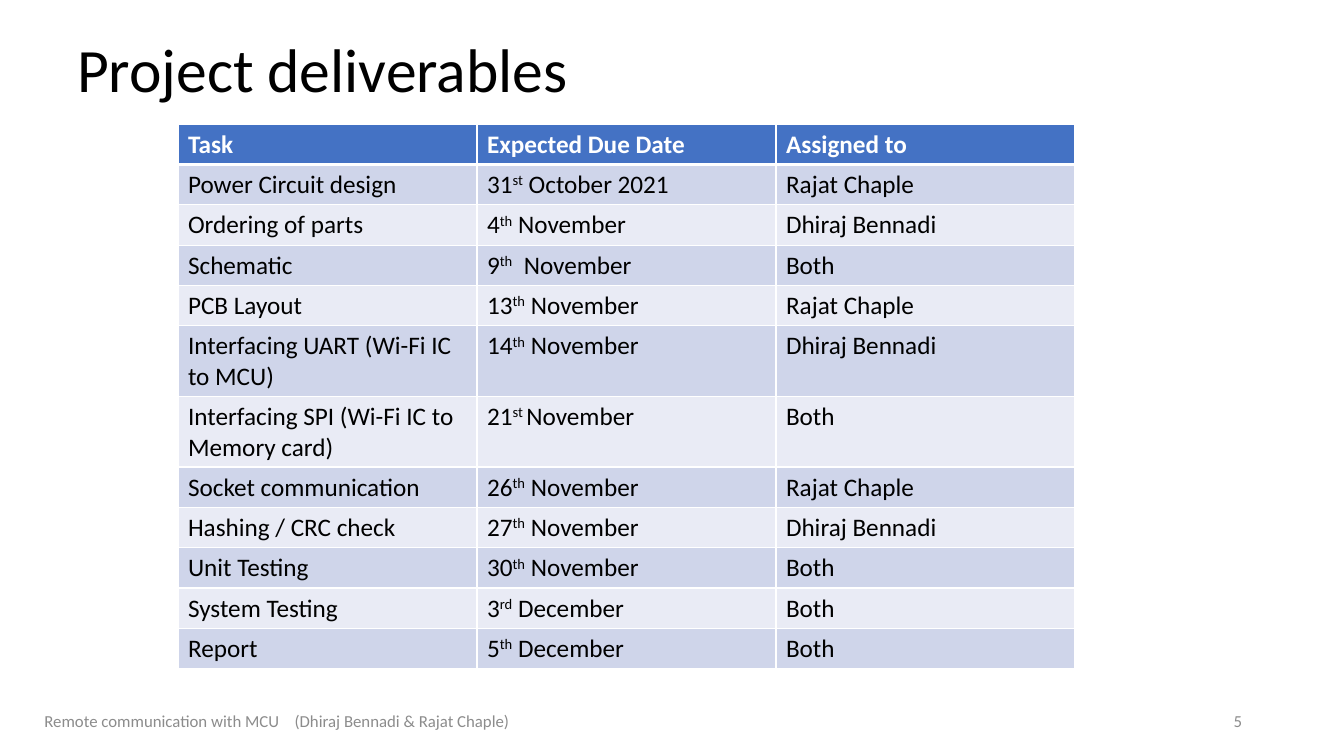
from lxml.etree import SubElement
from pptx import Presentation
from pptx.dml.color import RGBColor
from pptx.enum.text import MSO_ANCHOR, PP_ALIGN
from pptx.oxml.ns import qn
from pptx.util import Emu, Pt

HEADER = ("Task", "Expected Due Date", "Assigned to")
TASKS = [
    ("Power Circuit design", ("31", "st", " October 2021"), "Rajat Chaple"),
    ("Ordering of parts", ("4", "th", " November"), "Dhiraj Bennadi"),
    ("Schematic", ("9", "th", "  November"), "Both"),
    ("PCB Layout", ("13", "th", " November"), "Rajat Chaple"),
    ("Interfacing UART (Wi-Fi IC to MCU)", ("14", "th", " November"), "Dhiraj Bennadi"),
    ("Interfacing SPI (Wi-Fi IC to Memory card)", ("21", "st ", "November"), "Both"),
    ("Socket communication", ("26", "th", " November"), "Rajat Chaple"),
    ("Hashing / CRC check", ("27", "th", " November"), "Dhiraj Bennadi"),
    ("Unit Testing", ("30", "th", " November"), "Both"),
    ("System Testing", ("3", "rd", " December"), "Both"),
    ("Report", ("5", "th", " December"), "Both"),
]


def px(n):
    return Emu(round(n * 914400 / 100.8))


def rgb(value):
    return RGBColor.from_string(value)


class Deck:
    """Holds the slide style and draws each kind of element on the slide."""

    font = "Calibri"
    black, white, grey = "000000", "FFFFFF", "8C8C8C"
    head, bands = "4472C4", ("CFD5EA", "E9EBF5")

    def __init__(self, prs):
        self.s = prs.slides.add_slide(prs.slide_layouts[5])
        self.s.background.fill.solid()
        self.s.background.fill.fore_color.rgb = rgb(self.white)

    def run(self, p, text, size, color, bold=False, **attrs):
        r = p.add_run()
        r.text = text
        r.font.name, r.font.size, r.font.bold = self.font, Pt(size), bold
        r.font.color.rgb = rgb(color)
        for name, value in attrs.items():
            r._r.get_or_add_rPr().set(name, value)

    def title(self, text, x, y, w, h):
        sp = self.s.shapes.title
        sp.left, sp.top, sp.width, sp.height = map(px, (x, y, w, h))
        tf = sp.text_frame
        tf.vertical_anchor = MSO_ANCHOR.MIDDLE
        p = tf.paragraphs[0]
        p.alignment, p.line_spacing = PP_ALIGN.LEFT, 0.9
        self.run(p, text, 44, self.black)

    def footer(self, parts, x, y, w, h, align):
        tf = self.s.shapes.add_textbox(*map(px, (x, y, w, h))).text_frame
        tf.word_wrap, tf.vertical_anchor = True, MSO_ANCHOR.MIDDLE
        p = tf.paragraphs[0]
        p.alignment = align
        for i, part in enumerate(parts):
            if i:
                self.run(p, " ", 12, self.grey, spc="800")
            self.run(p, part, 12, self.grey)

    def border(self, cell, **widths):
        tc_pr = cell._tc.get_or_add_tcPr()
        for side in "LRTB":
            ln = SubElement(tc_pr, qn(f"a:ln{side}"), w=str(Pt(widths.get(side, 1))))
            SubElement(SubElement(ln, qn("a:solidFill")), qn("a:srgbClr"), val=self.white)

    def cell(self, cell, parts, row):
        is_head = row == 0
        self.border(cell, **({"B": 3} if is_head else {"T": 3} if row == 1 else {}))
        cell.fill.solid()
        cell.fill.fore_color.rgb = rgb(self.head if is_head else self.bands[(row - 1) % 2])
        p = cell.text_frame.paragraphs[0]
        for i, part in enumerate(parts):
            raised = {"baseline": "30000"} if i == 1 else {}
            self.run(p, part, 18, self.white if is_head else self.black, is_head, **raised)

    def table(self, rows, x, y, col_w, row_h):
        cols = len(rows[0])
        size = (x, y, col_w * cols, row_h * len(rows))
        table = self.s.shapes.add_table(len(rows), cols, *map(px, size)).table
        for i, row in enumerate(rows):
            for j, value in enumerate(row):
                parts = (value,) if isinstance(value, str) else value
                self.cell(table.cell(i, j), parts, i)


def main():
    prs = Presentation()
    prs.slide_width, prs.slide_height = px(1344), px(756)
    deck = Deck(prs)
    deck.title("Project deliverables", 67, 0, 1159, 146)
    deck.footer(("Remote communication with MCU", "(Dhiraj Bennadi & Rajat Chaple)"),
                25, 701, 504, 40, PP_ALIGN.CENTER)
    deck.footer(("5",), 950, 701, 302, 40, PP_ALIGN.RIGHT)
    deck.table([HEADER, *TASKS], 178, 124, 299, 40)
    prs.save("out.pptx")


if __name__ == "__main__":
    main()
